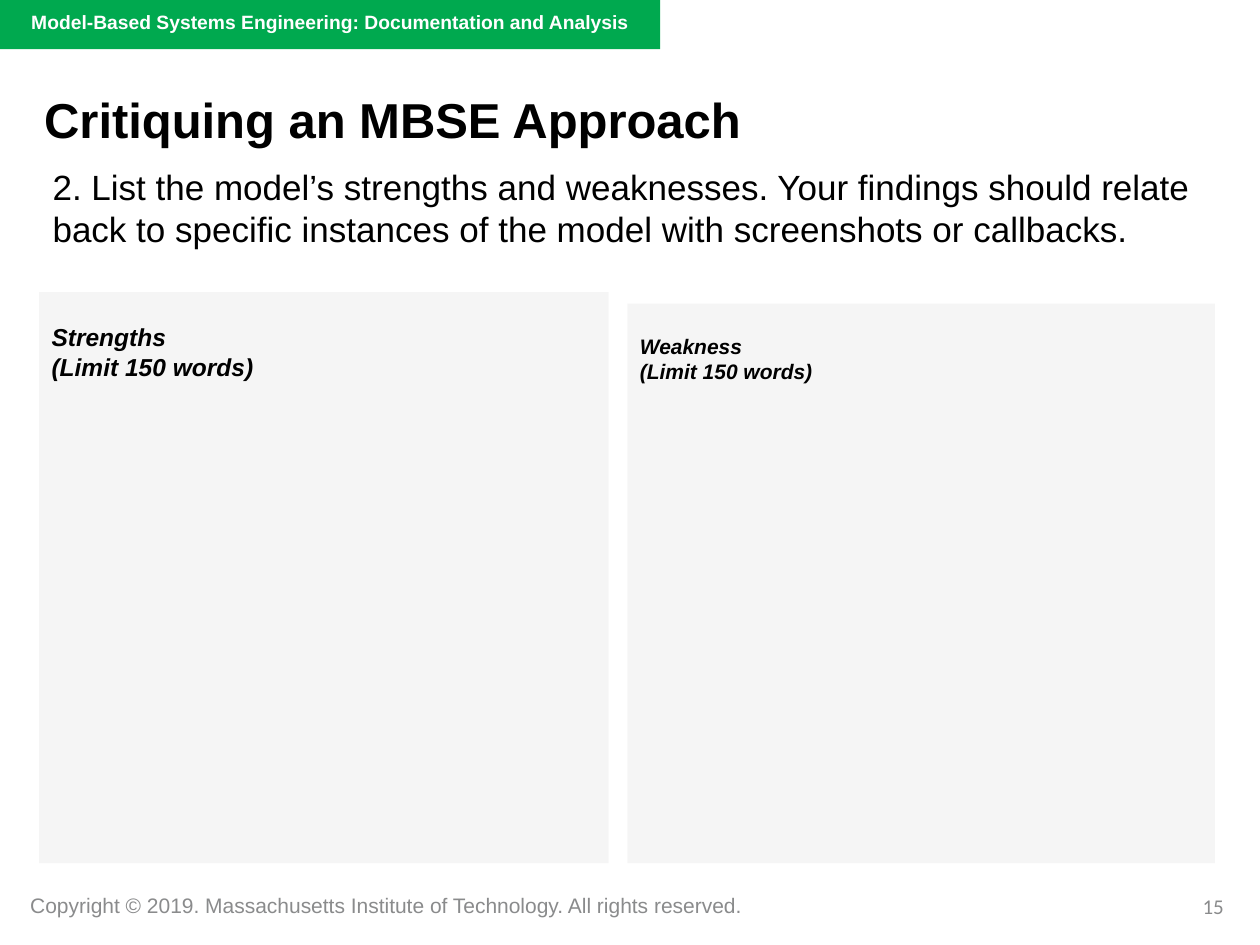
import pptx
import pptx.dml.color
import pptx.enum.shapes
import pptx.enum.text
import pptx.oxml
import pptx.oxml.ns
import pptx.util

Cm = pptx.util.Cm
Align = pptx.enum.text.PP_ALIGN
Anchor = pptx.enum.text.MSO_ANCHOR

# Content
COPYRIGHT = "Copyright © 2019. Massachusetts Institute of Technology. All rights reserved."
COURSE = "Model-Based Systems Engineering: Documentation and Analysis"
TITLE = "Critiquing an MBSE Approach"
TASK = ("2. List the model’s strengths and weaknesses. Your findings should relate "
        "back to specific instances of the model with screenshots or callbacks.")
PAGE_NUMBER = "15"
LIMIT = "(Limit 150 words)"
PANELS = [  # heading, left, top, width, text size
    ("Strengths", 0.79, 5.89, 11.48, 14),
    ("Weakness", 12.65, 6.12, 11.84, 12),
]
PANEL_BOTTOM = 17.4
GREEN, GREY, PANEL_GREY, WHITE, BLACK = "00A94F", "8A8B8C", "A6A6A6", "FFFFFF", "000000"

deck = pptx.Presentation()
deck.slide_width, deck.slide_height = Cm(25.4), Cm(19.05)
page = deck.slides.add_slide(deck.slide_layouts[6])


def color(value):
    return pptx.dml.color.RGBColor.from_string(value)


def add_rectangle(place, fill, opacity=100):
    box = page.shapes.add_shape(
        pptx.enum.shapes.MSO_SHAPE.RECTANGLE, *map(Cm, place))
    box.shadow.inherit = False
    box.line.fill.background()
    box.fill.solid()
    box.fill.fore_color.rgb = color(fill)
    if opacity < 100:
        tint = box.fill._xPr.find(".//" + pptx.oxml.ns.qn("a:srgbClr"))
        alpha = pptx.oxml.parse_xml(
            f'<a:alpha {pptx.oxml.ns.nsdecls("a")} val="{opacity * 1000}"/>')
        tint.append(alpha)
    return box


def add_text(*lines, place=None, box=None, size=12, ink=BLACK, font="Arial", bold=False,
             italic=False, align=Align.LEFT, anchor=Anchor.TOP, top_inset=0.13, wrap=True):
    box = box or page.shapes.add_textbox(*map(Cm, place))
    frame = box.text_frame
    frame.word_wrap = wrap
    frame.vertical_anchor = anchor
    frame.margin_top = Cm(top_inset)
    for index, line in enumerate(lines):
        para = frame.add_paragraph() if index else frame.paragraphs[0]
        para.alignment = align
        span = para.add_run()
        span.text = line
        span.font.name = font
        span.font.size = pptx.util.Pt(size)
        span.font.bold, span.font.italic = bold, italic
        span.font.color.rgb = color(ink)


# Footer and header band
add_text(COPYRIGHT, place=(0.36, 17.86, 15.14, 0.76), ink=GREY, wrap=False)
add_rectangle((-0.03, 0, 13.34, 0.99), GREEN)
add_text(COURSE, place=(0.38, 0.08, 13.31, 1.47), size=11, ink=WHITE, bold=True)
add_text(PAGE_NUMBER, place=(19, 17.88, 5.92, 1.02), ink=GREY, font="Calibri",
         align=Align.RIGHT)

# Title and task
add_text(TITLE, box=add_rectangle((0.64, 1.65, 20.5, 1.47), WHITE), size=28, bold=True,
         anchor=Anchor.MIDDLE)
add_text(TASK, place=(0.81, 3.2, 23.7, 2.9), size=20)

# Answer panels
for heading, left, top, width, size in PANELS:
    panel = add_rectangle((left, top, width, PANEL_BOTTOM - top), PANEL_GREY, opacity=10)
    add_text(heading, LIMIT, box=panel, size=size, bold=True, italic=True, top_inset=0.61)

deck.save("out.pptx")
